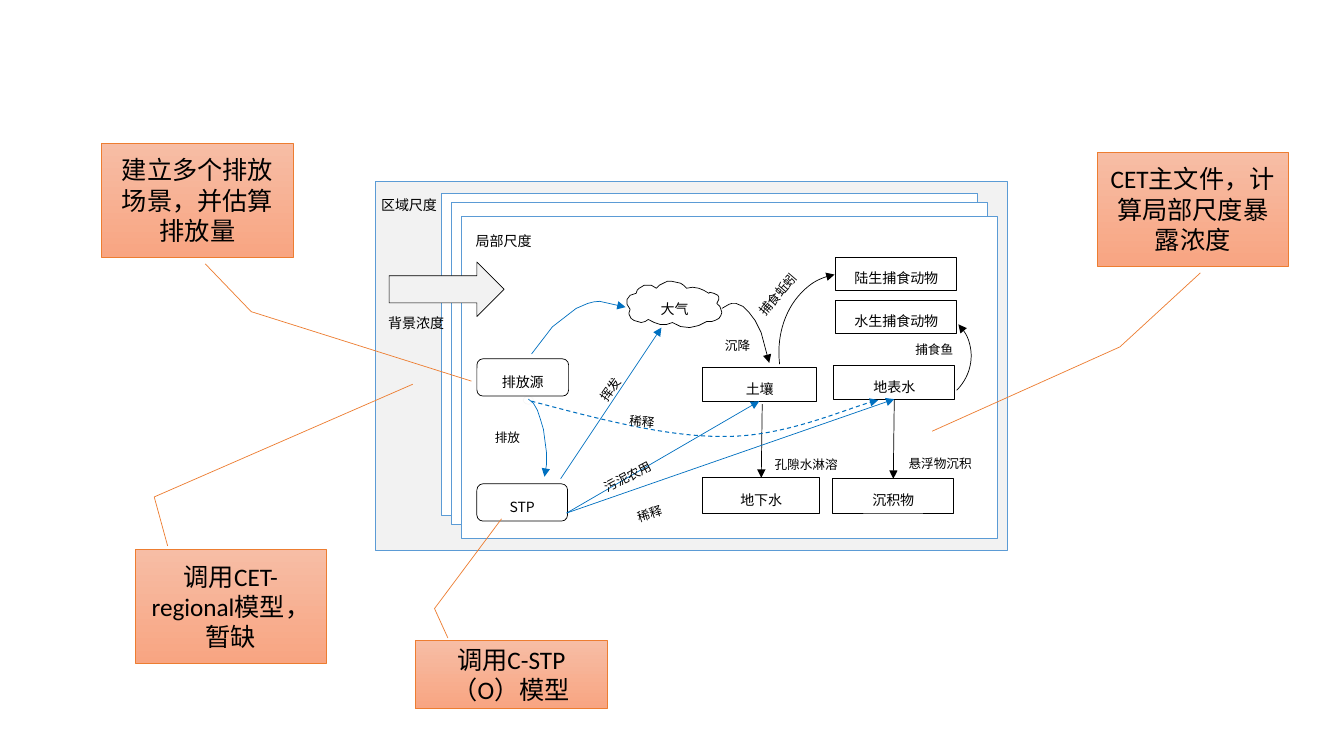
from dataclasses import dataclass

from lxml import etree
from pptx import Presentation
from pptx.dml.color import RGBColor
from pptx.enum.dml import MSO_LINE
from pptx.enum.shapes import MSO_CONNECTOR, MSO_SHAPE
from pptx.enum.text import MSO_ANCHOR, MSO_AUTO_SIZE, PP_ALIGN
from pptx.oxml.ns import qn
from pptx.shapes.base import BaseShape
from pptx.slide import Slide
from pptx.util import Inches, Pt

RECT, ROUNDED, OVAL = MSO_SHAPE.RECTANGLE, MSO_SHAPE.ROUNDED_RECTANGLE, MSO_SHAPE.OVAL
ARC, RIGHT_ARROW, CALLOUT = MSO_SHAPE.ARC, MSO_SHAPE.RIGHT_ARROW, MSO_SHAPE.LINE_CALLOUT_2
STRAIGHT, DASH = MSO_CONNECTOR.STRAIGHT, MSO_LINE.DASH
TOP, MIDDLE = MSO_ANCHOR.TOP, MSO_ANCHOR.MIDDLE
LEFT, CENTER, JUSTIFY = PP_ALIGN.LEFT, PP_ALIGN.CENTER, PP_ALIGN.JUSTIFY
FIT_SHAPE, FIXED = MSO_AUTO_SIZE.SHAPE_TO_FIT_TEXT, MSO_AUTO_SIZE.NONE

COLORS = {"black": "000000", "white": "FFFFFF", "grey": "F2F2F2", "pale": "F7F7F7",
          "frame": "5B9BD5", "flow": "0070C0", "orange": "ED7D31",
          "callout_top": "F7BDA5", "callout_bottom": "F8A582"}
CJK_FONT = "Noto Sans CJK SC"
Box = tuple[float, float, float, float]
Point = tuple[float, float]


@dataclass
class Block:
    box: Box
    text: str = ""
    fill: str | None = "white"
    line: str = "black"
    kind: MSO_SHAPE = RECT
    anchor: MSO_ANCHOR = MIDDLE
    side_inset: float = 0.1


@dataclass
class Label:
    box: Box
    text: str
    rotation: float = 0
    size: int = 9
    align: PP_ALIGN = CENTER
    anchor: MSO_ANCHOR = MIDDLE
    wrap: bool = True
    fit: MSO_AUTO_SIZE = FIT_SHAPE
    inset: bool = True
    font: str = CJK_FONT


@dataclass
class Arrow:
    start: Point
    end: Point
    color: str = "flow"


@dataclass
class Outline:
    points: list[Point]
    color: str
    arrow: str = "tailEnd"
    rotation: float = 0


@dataclass
class Callout:
    box: Box
    text: str
    leader: list[float]


BLOCKS = [
    Block((3.72, 1.8, 6.27, 3.66), fill="grey", line="frame"),
    *[Block((left, top, 5.31, 3.19), line="frame")
      for left, top in [(4.38, 1.92), (4.48, 2.01), (4.58, 2.15)]],
    Block((6.97, 4.74, 1.16, 0.35), "地下水"),
    Block((6.97, 3.64, 1.13, 0.34), "土壤", fill=None, anchor=TOP),
    Block((5.19, 3.93, 0.1, 0.08), fill=None, line="pale", kind=OVAL),
    Block((8.27, 3.63, 1.2, 0.33), "地表水"),
    Block((4.73, 4.8, 0.9, 0.37), "STP", fill=None, kind=ROUNDED, anchor=TOP),
    Block((8.26, 4.75, 1.2, 0.34), "沉积物"),
    Block((4.73, 3.56, 0.91, 0.37), "排放源", kind=ROUNDED),
    Block((8.29, 2.98, 1.2, 0.33), "水生捕食动物", side_inset=0.04),
    Block((8.29, 2.55, 1.2, 0.33), "陆生捕食动物", side_inset=0.04),
    Block((3.86, 2.6, 1.14, 0.54), fill="grey", kind=RIGHT_ARROW),
]
ARROWS = [
    Arrow((5.56, 4.75), (6.56, 3.25)),
    Arrow((8.87, 3.96), (8.86, 4.75), "black"),
    Arrow((7.56, 4.01), (7.55, 4.74), "black"),
    Arrow((5.62, 5.09), (8.87, 3.96)),
    Arrow((5.62, 5.09), (7.53, 3.98)),
]
OUTLINES = [
    Outline([(5.25, 3.47), (5.48, 3.22), (5.73, 3.06), (5.85, 3.02), (5.91, 3.01),
             (5.97, 3.01), (6.22, 3.09)], "flow", rotation=354.9),
    Outline([(5.4, 4.73), (5.42, 4.61), (5.42, 4.49), (5.39, 4.26), (5.36, 4.16),
             (5.33, 4.07), (5.29, 4), (5.24, 3.96)], "flow", "headEnd"),
    Outline([(7.16, 3.06), (7.23, 3.02), (7.26, 3.01), (7.3, 3.01), (7.37, 3.04),
             (7.43, 3.1), (7.49, 3.18), (7.55, 3.3), (7.63, 3.6)], "black"),
]
DILUTION = Outline([(5.27, 3.98), (5.95, 4.16), (6.63, 4.34), (7.2, 4.33), (7.77, 4.33),
                    (8.45, 4.03), (8.71, 3.97)], "flow")
CLOUD = Outline([
    (6.31, 2.91), (6.25, 2.93), (6.22, 2.97), (6.22, 3.02), (6.25, 3.07), (6.24, 3.1),
    (6.24, 3.12), (6.26, 3.16), (6.29, 3.18), (6.36, 3.2), (6.4, 3.19), (6.43, 3.17),
    (6.49, 3.2), (6.55, 3.22), (6.61, 3.22), (6.67, 3.2), (6.75, 3.24), (6.84, 3.25),
    (6.93, 3.23), (7.01, 3.19), (7.06, 3.19), (7.09, 3.18), (7.13, 3.16), (7.15, 3.13),
    (7.16, 3.1), (7.15, 3.07), (7.14, 3.04), (7.11, 3.01), (7.13, 2.97), (7.13, 2.95),
    (7.12, 2.93), (7.08, 2.91), (7.04, 2.9), (7.03, 2.91), (6.98, 2.88), (6.93, 2.86),
    (6.87, 2.85), (6.81, 2.86), (6.78, 2.83), (6.75, 2.81), (6.66, 2.79), (6.62, 2.79),
    (6.58, 2.81), (6.54, 2.83), (6.51, 2.86), (6.46, 2.83), (6.39, 2.83), (6.34, 2.86),
    (6.32, 2.88), (6.31, 2.91)], "black", "")
LABELS = [
    Label((5.66, 3.63, 0.72, 0.43), "挥发", 304.6),
    Label((5.63, 4.48, 1.16, 0.43), "污泥农用", 332.2),
    Label((5.85, 4.85, 1.16, 0.43), "稀释", 341.8),
    Label((7.45, 4.36, 1.09, 0.43), "孔隙水淋溶"),
    Label((8.76, 4.35, 1.13, 0.43), "悬浮物沉积"),
    Label((4.81, 4.14, 0.57, 0.43), "排放", align=LEFT, anchor=TOP, wrap=False),
    Label((6.92, 3.17, 0.79, 0.43), "沉降"),
    Label((6.07, 3.93, 0.6, 0.43), "稀释", 5.4),
    Label((7.39, 2.62, 0.89, 0.55), "捕食蚯蚓", 310.5, align=JUSTIFY, anchor=TOP,
          wrap=False, fit=FIXED, font="Times New Roman"),
    Label((8.98, 3.27, 0.74, 0.38), "捕食鱼", align=JUSTIFY, anchor=TOP, wrap=False, fit=FIXED),
    Label((4.62, 2.17, 0.95, 0.47), "局部尺度", size=10, align=LEFT, anchor=TOP, wrap=False),
    Label((3.78, 1.87, 0.7, 0.34), "区域尺度", size=10, align=LEFT, anchor=TOP,
          wrap=False, inset=False),
    Label((3.85, 3.04, 0.83, 0.34), "背景浓度", size=10, align=LEFT, anchor=TOP, inset=False),
]
CALLOUTS = [
    Callout((4.12, 6.35, 1.9, 0.68), "调用C-STP（O）模型",
            [-0.03, 0.17, -0.46, 0.1, -1.77, 0.45]),
    Callout((1.34, 5.45, 1.9, 1.13), "调用CET-regional模型，暂缺",
            [-0.03, 0.17, -0.46, 0.1, -1.45, 1.45]),
    Callout((1.01, 1.42, 1.9, 1.13), "建立多个排放场景，并估算排放量",
            [1.06, 0.54, 1.48, 0.78, 2.09, 1.93]),
    Callout((10.88, 1.51, 1.9, 1.13), "CET主文件，计算局部尺度暴露浓度",
            [1.06, 0.54, 1.71, 0.12, 2.45, -0.86]),
]


def rgb(name: str) -> RGBColor:
    return RGBColor.from_string(COLORS[name])


def style_line(shape: BaseShape, color: str, arrow: str = "", width: float = 0.5) -> None:
    shape.line.color.rgb = rgb(color)
    shape.line.width = Pt(width)
    if arrow:
        line = shape._element.spPr.find(qn("a:ln"))
        etree.SubElement(line, qn(f"a:{arrow}"), type="triangle")


def write(shape: BaseShape, text: str, size: int, font: str = CJK_FONT, align: PP_ALIGN = CENTER,
          anchor: MSO_ANCHOR = MIDDLE, spacing: float = 1.5, wrap: bool = True) -> None:
    frame = shape.text_frame
    frame.word_wrap = wrap
    frame.vertical_anchor = anchor
    para = frame.paragraphs[0]
    para.alignment = align
    para.line_spacing = spacing
    span = para.add_run()
    span.text = text
    span.font.size = Pt(size)
    span.font.name = font
    span.font.color.rgb = rgb("black")
    etree.SubElement(span.font._element, qn("a:ea"), typeface=CJK_FONT)


def add_preset(page: Slide, kind: MSO_SHAPE, box: Box, fill: str | None, line: str,
               arrow: str = "") -> BaseShape:
    shape = page.shapes.add_shape(kind, *map(Inches, box))
    shape.shadow.inherit = False
    if fill:
        shape.fill.solid()
        shape.fill.fore_color.rgb = rgb(fill)
    else:
        shape.fill.background()
    style_line(shape, line, arrow)
    return shape


def add_block(page: Slide, block: Block) -> None:
    shape = add_preset(page, block.kind, block.box, block.fill, block.line)
    if block.text:
        write(shape, block.text, 10, anchor=block.anchor)
        shape.text_frame.margin_left = shape.text_frame.margin_right = Inches(block.side_inset)


def add_arrow(page: Slide, arrow: Arrow) -> None:
    connector = page.shapes.add_connector(STRAIGHT, *map(Inches, arrow.start + arrow.end))
    style_line(connector, arrow.color, "tailEnd")
    etree.SubElement(connector._element.spPr, qn("a:effectLst"))


def add_outline(page: Slide, outline: Outline, closed: bool = False,
                width: float = 0.5) -> BaseShape:
    start, *others = [(Inches(x), Inches(y)) for x, y in outline.points]
    builder = page.shapes.build_freeform(*start)
    builder.add_line_segments(others, close=closed)
    shape = builder.convert_to_shape()
    shape.rotation = outline.rotation
    shape.shadow.inherit = False
    shape.fill.background()
    style_line(shape, outline.color, outline.arrow, width)
    return shape


def bend_segments(shape: BaseShape) -> None:
    segments = list(shape._element.iter(qn("a:lnTo")))
    for first, second, third in zip(segments[::3], segments[1::3], segments[2::3]):
        first.tag = qn("a:cubicBezTo")
        for extra in (second, third):
            first.append(extra[0])
            extra.getparent().remove(extra)


def add_arc(page: Slide, box: Box, rotation: float, end: float, flipped: bool) -> None:
    arc = add_preset(page, ARC, box, None, "black", "headEnd")
    arc.adjustments[0], arc.adjustments[1] = 162, end
    arc.rotation = rotation
    if flipped:
        arc._element.spPr.find(qn("a:xfrm")).set("flipH", "1")


def add_label(page: Slide, label: Label) -> None:
    shape = page.shapes.add_textbox(*map(Inches, label.box))
    shape.rotation = label.rotation
    write(shape, label.text, label.size, label.font, label.align, label.anchor, wrap=label.wrap)
    frame = shape.text_frame
    frame.auto_size = label.fit
    if not label.inset:
        frame.margin_left = frame.margin_right = frame.margin_top = frame.margin_bottom = 0


def add_callout(page: Slide, callout: Callout) -> None:
    shape = add_preset(page, CALLOUT, callout.box, None, "orange")
    shape.fill.gradient()
    shape.fill.gradient_angle = 270
    for stop, color, position in zip(shape.fill.gradient_stops,
                                     ("callout_top", "callout_bottom"), (0, 1)):
        stop.color.rgb = rgb(color)
        stop.position = position
    for index, value in enumerate(callout.leader):
        shape.adjustments[index] = value
    write(shape, callout.text, 18, "Calibri", spacing=1.0)


def main() -> None:
    deck = Presentation()
    deck.slide_width, deck.slide_height = Inches(13.33), Inches(7.5)
    page = deck.slides.add_slide(deck.slide_layouts[6])
    for block in BLOCKS:
        add_block(page, block)
    for arrow in ARROWS:
        add_arrow(page, arrow)
    for outline in OUTLINES:
        add_outline(page, outline)
    dilution = add_outline(page, DILUTION, width=0.75)
    dilution.line.dash_style = DASH
    bend_segments(dilution)
    write(add_outline(page, CLOUD, closed=True), "大气", 10)
    add_arc(page, (7.73, 2.71, 1.4, 1.68), 349.5, 212.75, True)
    add_arc(page, (8.72, 3.08, 0.9, 0.95), 44.9, 0, False)
    for label in LABELS:
        add_label(page, label)
    for callout in CALLOUTS:
        add_callout(page, callout)
    deck.save("out.pptx")


if __name__ == "__main__":
    main()
